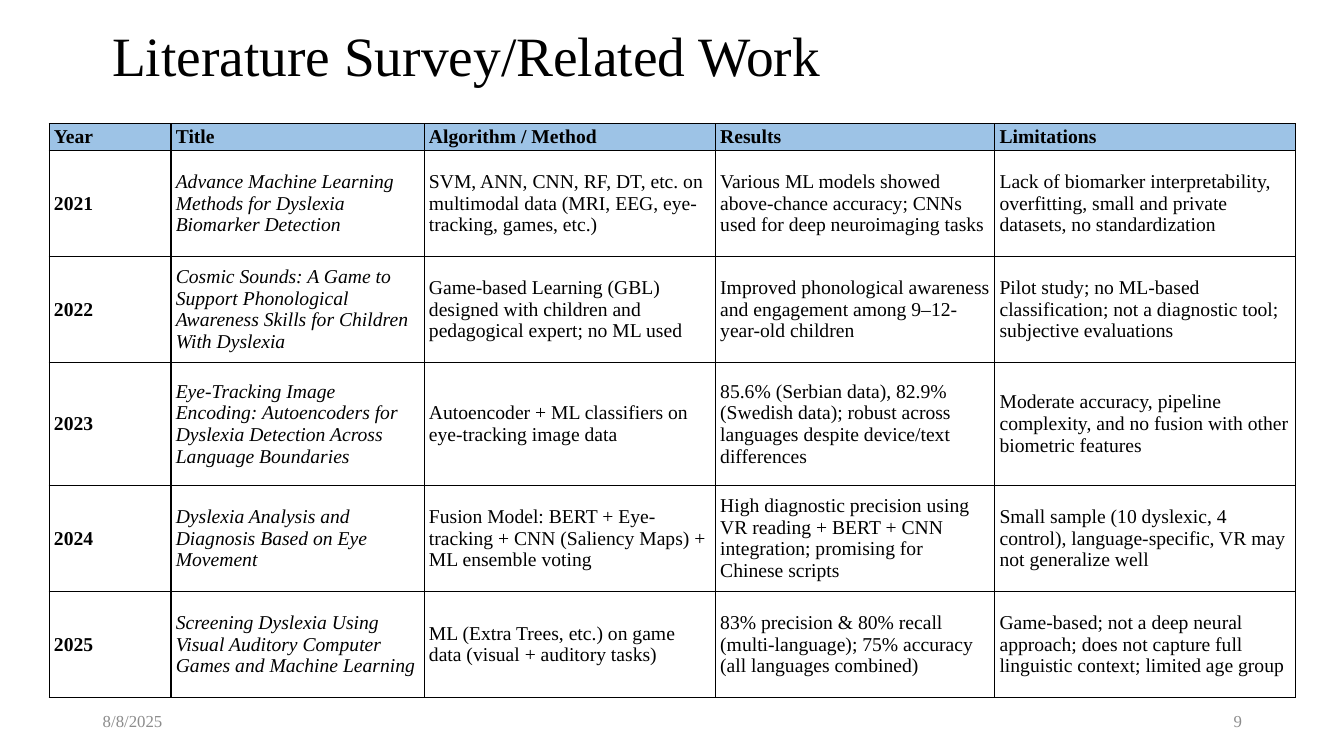
from lxml import etree
from pptx import Presentation
from pptx.dml.color import RGBColor
from pptx.enum import text
from pptx.oxml.ns import qn
from pptx.util import Cm, Pt

TITLE = "Literature Survey/Related Work"
DATE, PAGE_NUMBER = "8/8/2025", "9"
HEADINGS = ("Year", "Title", "Algorithm / Method", "Results", "Limitations")
STUDIES = [
    ("2021",
     "Advance Machine Learning Methods for Dyslexia Biomarker Detection",
     "SVM, ANN, CNN, RF, DT, etc. on multimodal data (MRI, EEG, eye-tracking, games, etc.)",
     "Various ML models showed above-chance accuracy; CNNs used for deep neuroimaging tasks",
     "Lack of biomarker interpretability, overfitting, small and private datasets, "
     "no standardization"),
    ("2022",
     "Cosmic Sounds: A Game to Support Phonological Awareness Skills for Children With Dyslexia",
     "Game-based Learning (GBL) designed with children and pedagogical expert; no ML used",
     "Improved phonological awareness and engagement among 9–12-year-old children",
     "Pilot study; no ML-based classification; not a diagnostic tool; subjective evaluations"),
    ("2023",
     "Eye-Tracking Image Encoding: Autoencoders for Dyslexia Detection Across "
     "Language Boundaries",
     "Autoencoder + ML classifiers on eye-tracking image data",
     "85.6% (Serbian data), 82.9% (Swedish data); robust across languages despite "
     "device/text differences",
     "Moderate accuracy, pipeline complexity, and no fusion with other biometric features"),
    ("2024",
     "Dyslexia Analysis and Diagnosis Based on Eye Movement",
     "Fusion Model: BERT + Eye-tracking + CNN (Saliency Maps) + ML ensemble voting",
     "High diagnostic precision using VR reading + BERT + CNN integration; promising for "
     "Chinese scripts",
     "Small sample (10 dyslexic, 4 control), language-specific, VR may not generalize well"),
    ("2025",
     "Screening Dyslexia Using Visual Auditory Computer Games and Machine Learning",
     "ML (Extra Trees, etc.) on game data (visual + auditory tasks)",
     "83% precision & 80% recall (multi-language); 75% accuracy (all languages combined)",
     "Game-based; not a deep neural approach; does not capture full linguistic context; "
     "limited age group"),
]

FONT = "Times New Roman"
BLACK = RGBColor(0x00, 0x00, 0x00)
GREY = RGBColor(0x8C, 0x8C, 0x8C)
HEADER_BLUE = RGBColor(0x9D, 0xC3, 0xE6)

COLUMN_WIDTHS = (3.07, 6.38, 7.34, 7.04, 7.57)
ROW_HEIGHTS = (0.66, 2.67, 2.67, 3.1, 2.67, 2.67)


def set_font(para, size, color, bold=False, italic=False):
    font = para.font
    font.name, font.size = FONT, Pt(size)
    font.bold, font.italic = bold, italic
    font.color.rgb = color


def add_borders(cell):
    """Draw a thin black line on all four sides of a table cell."""
    properties = cell._tc.get_or_add_tcPr()
    for position, side in enumerate(("a:lnL", "a:lnR", "a:lnT", "a:lnB")):
        line = etree.Element(qn(side), w=str(Pt(1)))
        fill = etree.SubElement(line, qn("a:solidFill"))
        etree.SubElement(fill, qn("a:srgbClr"), val=str(BLACK))
        properties.insert(position, line)


def add_title(page):
    title = page.shapes.title
    title.left, title.top, title.width, title.height = Cm(2.57), Cm(0.58), Cm(23.5), Cm(1.78)
    frame = title.text_frame
    frame.text = TITLE
    frame.auto_size = text.MSO_AUTO_SIZE.NONE
    frame.vertical_anchor = text.MSO_ANCHOR.MIDDLE
    para = frame.paragraphs[0]
    para.alignment = text.PP_ALIGN.LEFT
    para.line_spacing = 0.9
    set_font(para, 39.6, BLACK)


def add_survey_table(page):
    rows = [HEADINGS, *STUDIES]
    table = page.shapes.add_table(
        len(rows), len(HEADINGS), Cm(1.24), Cm(3.12),
        Cm(sum(COLUMN_WIDTHS)), Cm(sum(ROW_HEIGHTS))).table
    table.horz_banding = False
    for column, width in zip(table.columns, COLUMN_WIDTHS):
        column.width = Cm(width)
    for row, height in zip(table.rows, ROW_HEIGHTS):
        row.height = Cm(height)
    for r, values in enumerate(rows):
        for c, value in enumerate(values):
            cell = table.cell(r, c)
            cell.text = value
            cell.vertical_anchor = text.MSO_ANCHOR.MIDDLE
            cell.margin_left = cell.margin_right = Cm(0.12)
            cell.margin_top = cell.margin_bottom = Cm(0.04)
            is_header = r == 0
            if is_header:
                cell.fill.solid()
                cell.fill.fore_color.rgb = HEADER_BLUE
            else:
                cell.fill.background()
            set_font(cell.text_frame.paragraphs[0], 14, BLACK,
                     bold=is_header or c == 0, italic=not is_header and c == 1)
            add_borders(cell)


def add_footer(page, value, left, alignment):
    box = page.shapes.add_textbox(Cm(left), Cm(17.65), Cm(7.62), Cm(1.02))
    frame = box.text_frame
    frame.word_wrap = True
    frame.vertical_anchor = text.MSO_ANCHOR.MIDDLE
    frame.text = value
    para = frame.paragraphs[0]
    para.alignment = alignment
    set_font(para, 12, GREY)


def main():
    deck = Presentation()
    deck.slide_width, deck.slide_height = Cm(33.87), Cm(19.05)
    page = deck.slides.add_slide(deck.slide_layouts.get_by_name("Title Only"))
    add_title(page)
    add_footer(page, DATE, 2.34, text.PP_ALIGN.LEFT)
    add_footer(page, PAGE_NUMBER, 23.93, text.PP_ALIGN.RIGHT)
    add_survey_table(page)
    deck.save("out.pptx")


if __name__ == "__main__":
    main()
